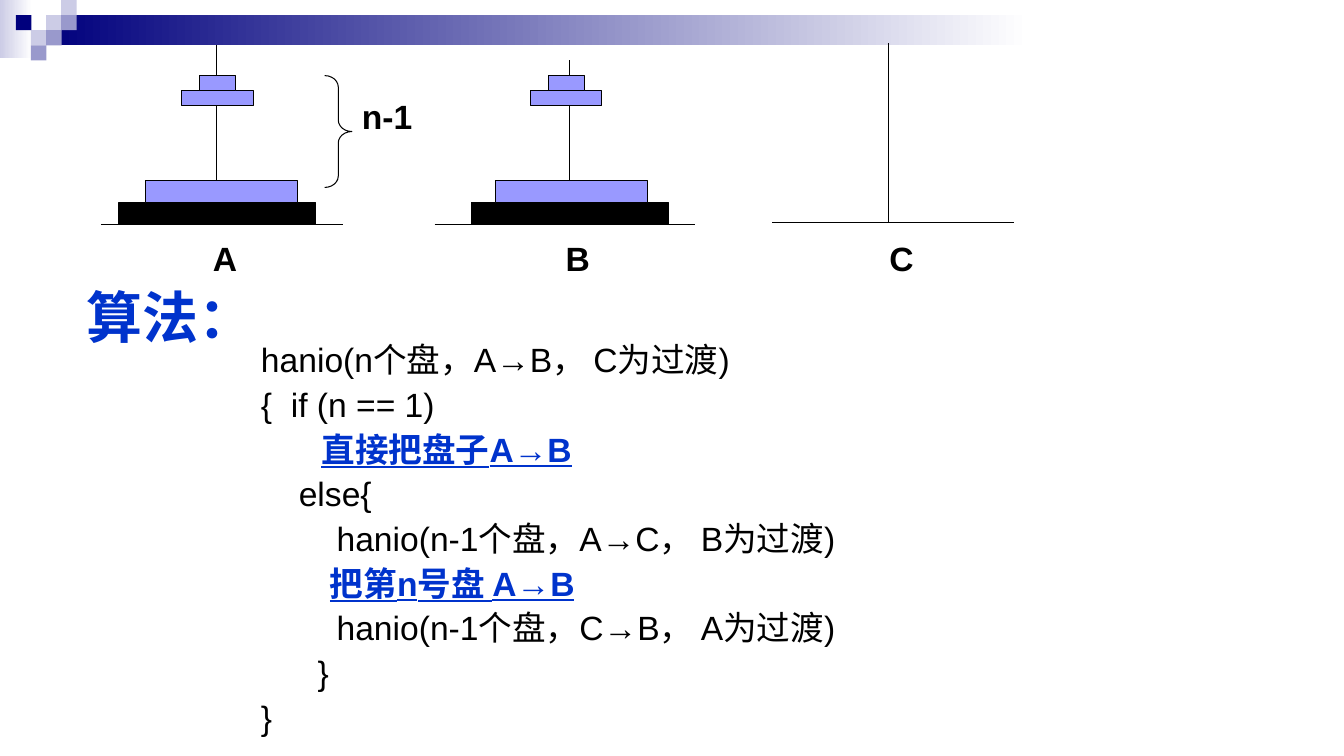
from pptx import Presentation
from pptx.dml.color import RGBColor
from pptx.enum.shapes import MSO_CONNECTOR as CONN, MSO_SHAPE as SHAPE
from pptx.enum.text import MSO_ANCHOR as ANCHOR, MSO_AUTO_SIZE as FIT, PP_ALIGN as ALIGN
from pptx.oxml.ns import qn
from pptx.util import Inches, Pt
from lxml.etree import SubElement

CELL = 0.15
BLACK, BLUE, DISC = "000000", "0033CC", "9999FF"
NAVY, PALE, MID, WHITE = "00007D", "CCCCE6", "9999CC", "FFFFFF"
PLAIN = {"name": "Arial", "size": Pt(24), "bold": False}
BOLD = {**PLAIN, "bold": True}
STEP = {**BOLD, "underline": True}
HEADING = {**BOLD, "size": Pt(40)}

SQUARES = [(3, 1, PALE), (4, 0, PALE), (4, 1, MID), (2, 2, PALE),
           (1, 1, NAVY), (3, 2, MID), (2, 3, MID)]
# columns
DISCS = [(13.4, 13, 1.47, BLACK), (11.93, 10.07, 1.47, DISC),
         (6, 4.73, 1, DISC), (5, 2.4, 1, DISC)]
PEGS = [
    ("A", 14.33, 3, 14.87, (6.67, 22.67), 14.87, (14.37, 14.63, 14.37, 14.4)),
    ("B", 37.67, 4, 14.87, (28.73, 45.93), 38.2, (37.7, 37.77, 37.43, 37.47)),
    ("C", 58.73, 2.87, 14.73, (51.07, 67.07), 59.6, ()),
]
CODE = [
    (0, "hanio(n个盘，A→B， C为过渡)", False),
    (0, "{  if (n == 1)", False),
    (4, "直接把盘子A→B", True),
    (2.5, "else{", False),
    (5, "hanio(n-1个盘，A→C， B为过渡)", False),
    (4.55, "把第n号盘 A→B", True),
    (5, "hanio(n-1个盘，C→B， A为过渡)", False),
    (3.75, "}", False),
    (0, "}", False),
]


def grid(*cells):
    return [Inches(n * CELL) for n in cells]


def color(value):
    return RGBColor.from_string(value)


def set_font(r, fmt, ink):
    for key, value in fmt.items():
        setattr(r.font, key, value)
    r.font.color.rgb = color(ink)


def add_block(slide, box, fill=None, line=None, kind=SHAPE.RECTANGLE):
    sp = slide.shapes.add_shape(kind, *grid(*box))
    sp.shadow.inherit = False
    if isinstance(fill, tuple):
        sp.fill.gradient()
        sp.fill.gradient_angle = 0
        for stop, value in zip(sp.fill.gradient_stops, fill):
            stop.color.rgb = color(value)
    elif fill:
        sp.fill.solid()
        sp.fill.fore_color.rgb = color(fill)
    else:
        sp.fill.background()
    if line:
        sp.line.color.rgb = color(line)
        sp.line.width = Pt(0.75)
    else:
        sp.line.fill.background()
    return sp


def add_line(slide, *ends):
    sp = slide.shapes.add_connector(CONN.STRAIGHT, *grid(*ends))
    sp.line.color.rgb = color(BLACK)
    sp.line.width = Pt(0.75)
    SubElement(sp._element.spPr, qn("a:effectLst"))


def add_label(slide, text, box, align=ALIGN.CENTER):
    tf = slide.shapes.add_textbox(*grid(*box)).text_frame
    tf.word_wrap = True
    p = tf.paragraphs[0]
    p.alignment = align
    r = p.add_run()
    r.text = text
    set_font(r, BOLD, BLACK)


def add_peg(slide, name, x, top, ground, ends, label_x, centres):
    add_line(slide, ends[0], ground, ends[1], ground)
    add_line(slide, x, ground, x, top)
    for centre, (row, width, height, fill) in zip(centres, DISCS):
        add_block(slide, (centre - width / 2, row, width, height), fill, BLACK)
    add_label(slide, name, (label_x - 2.5, 15.4, 5, 3.33))


def add_code(slide, box):
    tf = slide.shapes.add_textbox(*grid(*box)).text_frame
    tf.word_wrap = True
    for i, (indent, text, is_step) in enumerate(CODE):
        p = tf.add_paragraph() if i else tf.paragraphs[0]
        for key, value in {"alignment": ALIGN.JUSTIFY, "line_spacing": 0.9,
                           "space_before": Pt(6)}.items():
            setattr(p, key, value)
        p._p.get_or_add_pPr().set("marL", str(grid(indent)[0]))
        r = p.add_run()
        r.text = text
        set_font(r, STEP if is_step else PLAIN, BLUE if is_step else BLACK)


def set_title(slide, text, box):
    sp = slide.shapes.title
    for key, value in zip(("left", "top", "width", "height"), grid(*box)):
        setattr(sp, key, value)
    tf = sp.text_frame
    for key, value in {"word_wrap": True, "auto_size": FIT.NONE,
                       "vertical_anchor": ANCHOR.MIDDLE}.items():
        setattr(tf, key, value)
    p = tf.paragraphs[0]
    p.alignment = ALIGN.LEFT
    r = p.add_run()
    r.text = text
    set_font(r, HEADING, BLUE)


def add_banner(slide):
    add_block(slide, (0, 0, 2.13, 3.87), (PALE, WHITE))
    add_block(slide, (3.07, 1, 65, 2), (NAVY, WHITE))
    for col, row, fill in SQUARES:
        add_block(slide, (col + 0.05, row, 1.03, 1), fill)


def main():
    prs = Presentation()
    prs.slide_width, prs.slide_height = Inches(13.33), Inches(7.5)
    slide = prs.slides.add_slide(prs.slide_layouts[5])
    add_banner(slide)
    set_title(slide, "算法：", (5.07, 17.87, 10.53, 6.13))
    add_code(slide, (16.6, 22.4, 49.93, 27.07))
    for peg in PEGS:
        add_peg(slide, *peg)
    brace = add_block(slide, (21.47, 5, 1.8, 7.4), None, BLACK, SHAPE.RIGHT_BRACE)
    brace.adjustments[0] = 0.42
    add_label(slide, "n-1", (23.27, 6, 4.73, 3.33), ALIGN.LEFT)
    prs.save("out.pptx")


if __name__ == "__main__":
    main()
